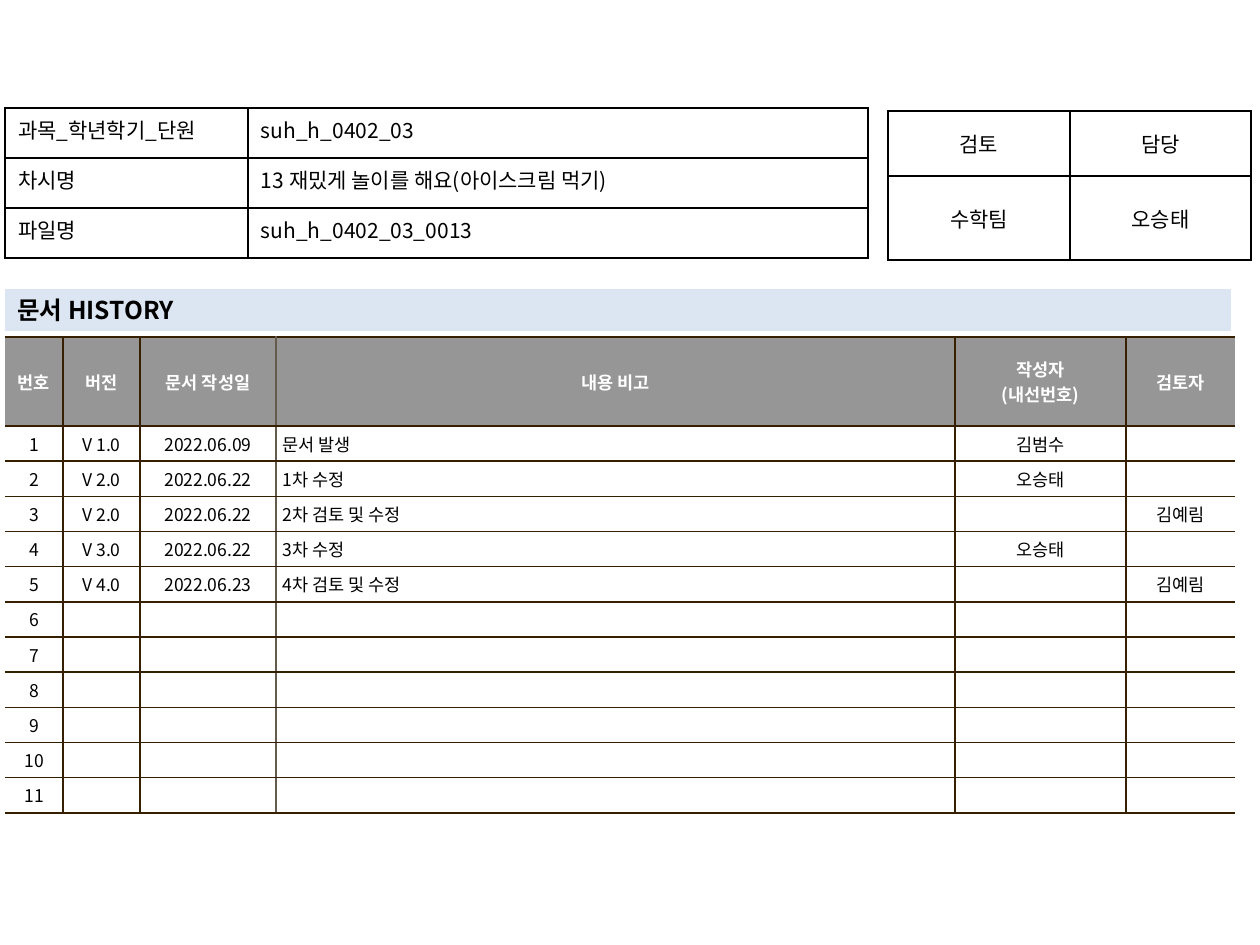
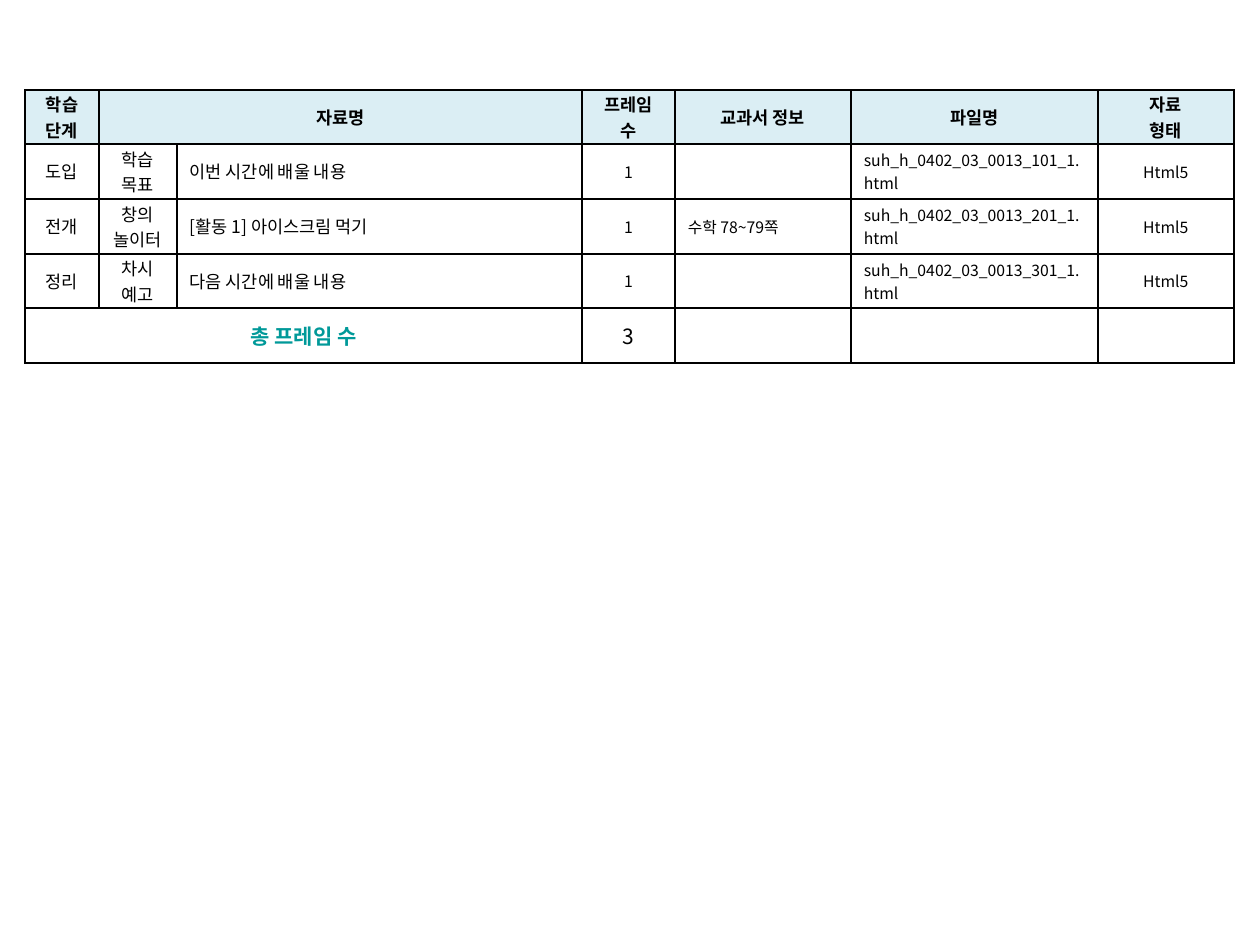
from lxml import etree
from pptx import Presentation
from pptx import util as u
from pptx.dml import color
from pptx.enum import shapes, text
from pptx.oxml import ns

SCALE = 914400 / 126
FACE = "Noto Sans CJK KR"
BLACK, WHITE, BROWN, TAUPE = "000000", "FFFFFF", "362000", "645B4C"
GREY, BAND, AQUA, TEAL = "969696", "DCE6F2", "DBEEF4", "009999"
LEFT, MID = text.PP_ALIGN.LEFT, text.PP_ALIGN.CENTER


def px(size):
    """Turn px into EMU."""
    return u.Emu(round(size * SCALE))


def rgb(code):
    """Turn a hex string into a colour."""
    return color.RGBColor.from_string(code)


def write(frame, words, size=12, ink=BLACK, bold=False, align=LEFT):
    """Fill a text frame, one paragraph a line, in one format."""
    frame.word_wrap = True
    frame.text = words
    for para in frame.paragraphs:
        para.alignment = align
        for run in para.runs:
            font = run.font
            font.name, font.size, font.bold = FACE, u.Pt(size), bold
            font.color.rgb = rgb(ink)
            east = etree.SubElement(run._r.get_or_add_rPr(), ns.qn("a:ea"))
            east.set("typeface", FACE)
        if not para.runs:
            end = etree.SubElement(para._p, ns.qn("a:endParaRPr"))
            end.set("sz", str(size * 100))


def edge(cell, side, ink):
    """Draw one cell border, or none when ink is None."""
    line = etree.SubElement(cell._tc.get_or_add_tcPr(), ns.qn(f"a:ln{side}"))
    line.set("w", str(u.Pt(1)))
    if ink is None:
        etree.SubElement(line, ns.qn("a:noFill"))
        return
    fill = etree.SubElement(line, ns.qn("a:solidFill"))
    etree.SubElement(fill, ns.qn("a:srgbClr")).set("val", ink)


def grid(slide, left, top, cols, rows, data, style, inset=(13, 6), spans=(),
         rules=None, rim=BLACK):
    """Add a table; rules holds the side colours of columns, rim the rest."""
    rules = rules or {}
    frame = slide.shapes.add_table(len(rows), len(cols), px(left), px(top),
                                   px(sum(cols)), px(sum(rows)))
    table = frame.table
    table.first_row = table.horz_banding = False
    for col, width in zip(table.columns, cols):
        col.width = px(width)
    for row, height in zip(table.rows, rows):
        row.height = px(height)
    for r, line in enumerate(data):
        for c, words in enumerate(line):
            cell = table.cell(r, c)
            look = style(r, c)
            fill = look.pop("fill", None)
            cell.vertical_anchor = look.pop("anchor", text.MSO_ANCHOR.MIDDLE)
            cell.margin_left = cell.margin_right = px(inset[0])
            cell.margin_top = cell.margin_bottom = px(inset[1])
            write(cell.text_frame, words, **look)
            edge(cell, "L", rules.get(c, rim))
            edge(cell, "R", rules.get(c + 1, rim))
            edge(cell, "T", rim)
            edge(cell, "B", rim)
            if fill:
                cell.fill.solid()
                cell.fill.fore_color.rgb = rgb(fill)
            else:
                cell.fill.background()
    for r, first, last in spans:
        table.cell(r, first).merge(table.cell(r, last))


def band(slide, left, top, width, height, words):
    """Add the heading band."""
    bar = slide.shapes.add_shape(shapes.MSO_SHAPE.RECTANGLE, px(left), px(top),
                                 px(width), px(height))
    bar.shadow.inherit = False
    bar.fill.solid()
    bar.fill.fore_color.rgb = rgb(BAND)
    bar.line.fill.background()
    bar.text_frame.vertical_anchor = text.MSO_ANCHOR.MIDDLE
    write(bar.text_frame, words, size=14, bold=True)


def info_look(r, c):
    """Format the lesson data cells."""
    return dict(anchor=text.MSO_ANCHOR.TOP)


def check_look(r, c):
    """Format the review cells."""
    return dict(align=MID)


def log_look(r, c):
    """Format the history cells."""
    if r == 0:
        return dict(size=10, ink=WHITE, bold=True, align=MID, fill=GREY)
    return dict(size=10, align=LEFT if c == 3 else MID, fill=WHITE)


def plan_look(r, c):
    """Format the frame plan cells."""
    if r == 0:
        return dict(size=10, bold=True, align=MID, fill=AQUA)
    if r == 4:
        return dict(size=12, bold=c == 0, ink=BLACK if c else TEAL, align=MID)
    return dict(size=10 if c < 3 else 9, align=LEFT if c in (2, 4, 5) else MID)


def cover(slide):
    """Build the document history slide."""
    edits = [
        ("V 1.0", "2022.06.09", "문서 발생", "김범수", ""),
        ("V 2.0", "2022.06.22", "1차 수정", "오승태", ""),
        ("V 2.0", "2022.06.22", "2차 검토 및 수정", "", "김예림"),
        ("V 3.0", "2022.06.22", "3차 수정", "오승태", ""),
        ("V 4.0", "2022.06.23", "4차 검토 및 수정", "", "김예림"),
    ]
    edits += [("",) * 5] * 6
    log = [("번호", "버전", "문서 작성일", "내용 비고", "작성자\n(내선번호)", "검토자")]
    log += [(str(n), *edit) for n, edit in enumerate(edits, 1)]
    grid(slide, 5, 337, [58, 77, 136, 679, 171, 109], [89] + [35] * 11, log,
         log_look, inset=(7, 5), rules={0: None, 3: TAUPE, 6: None}, rim=BROWN)
    grid(slide, 888, 111, [182, 181], [65, 84],
         [("검토", "담당"), ("수학팀", "오승태")], check_look)
    band(slide, 5, 289, 1226, 42, "문서 HISTORY")
    grid(slide, 5, 108, [243, 620], [50] * 3, [
        ("과목_학년학기_단원", "suh_h_0402_03"),
        ("차시명", "13 재밌게 놀이를 해요(아이스크림 먹기)"),
        ("파일명", "suh_h_0402_03_0013"),
    ], info_look)


def plan(slide):
    """Build the frame plan slide."""
    steps = [
        ("도입", "학습 목표", "이번 시간에 배울 내용", ""),
        ("전개", "창의\n놀이터", "[활동 1] 아이스크림 먹기", "수학 78~79쪽"),
        ("정리", "차시 예고", "다음 시간에 배울 내용", ""),
    ]
    data = [("학습 단계", "자료명", "", "프레임 수", "교과서 정보", "파일명", "자료\n형태")]
    data += [(*step[:3], "1", step[3], f"suh_h_0402_03_0013_{n}01_1.html", "Html5")
             for n, step in enumerate(steps, 1)]
    data += [("총 프레임 수", "", "", str(len(steps)), "", "", "")]
    grid(slide, 25, 90, [74, 78, 405, 93, 176, 247, 136], [54, 55, 55, 54, 55],
         data, plan_look, inset=(13, 1), spans=[(0, 1, 2), (4, 0, 2)])


def main():
    """Build and save the deck."""
    deck = Presentation()
    deck.slide_width, deck.slide_height = px(1260), px(945)
    for build in (cover, plan):
        build(deck.slides.add_slide(deck.slide_layouts[6]))
    deck.save("out.pptx")


if __name__ == "__main__":
    main()
